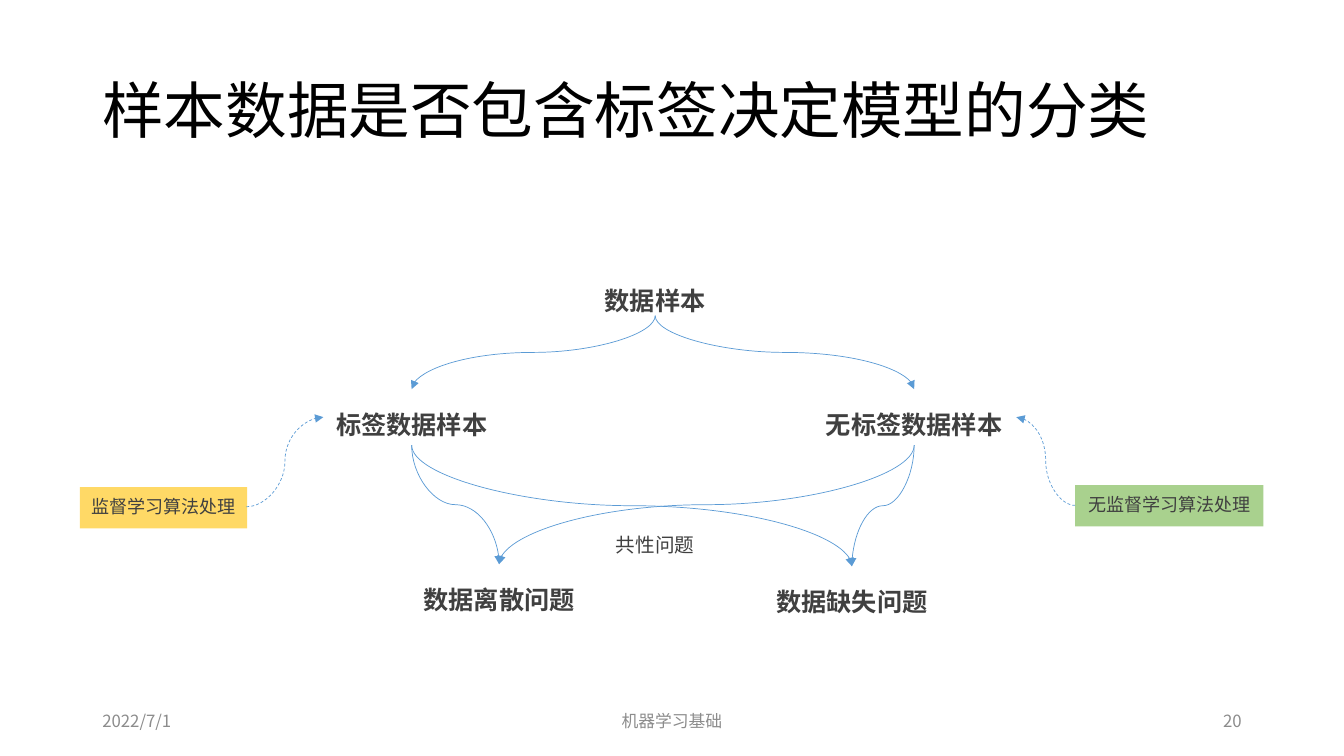
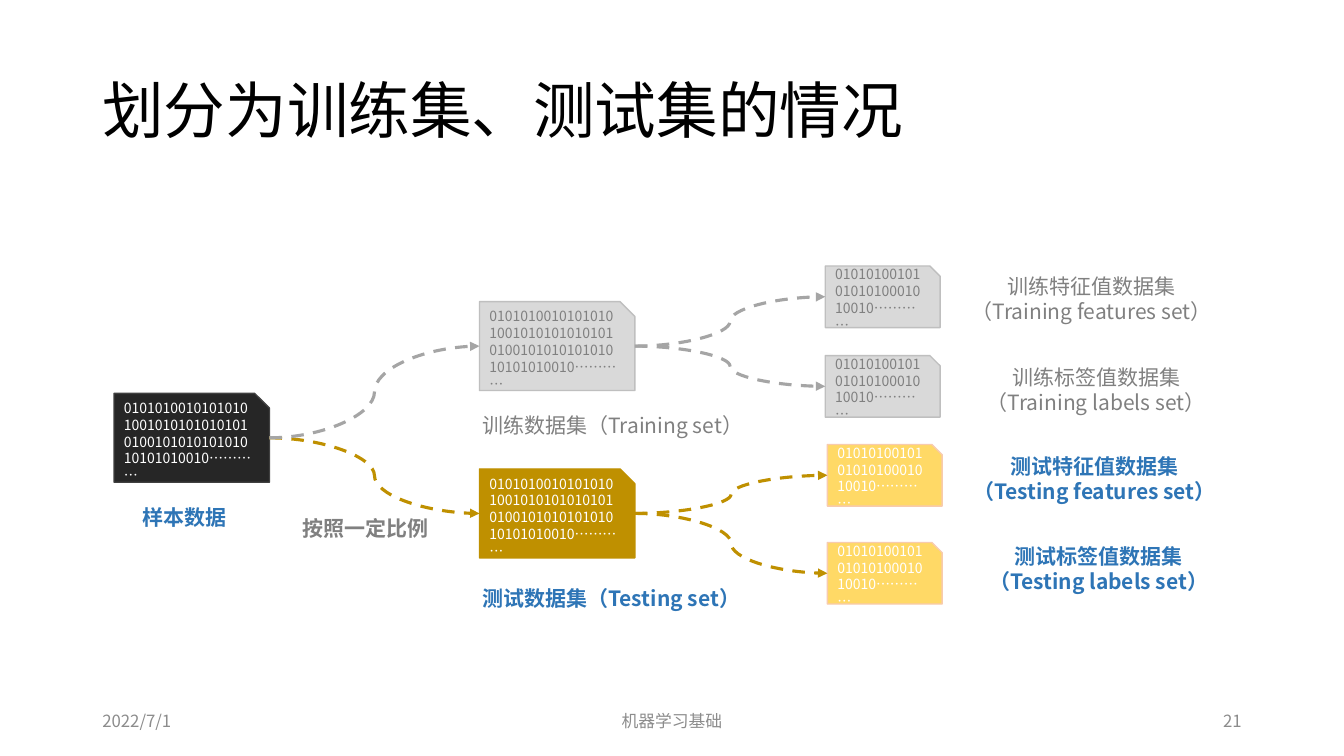
from lxml.etree import SubElement
from pptx import Presentation
from pptx.dml.color import RGBColor
from pptx.enum.dml import MSO_LINE
from pptx.enum.shapes import MSO_CONNECTOR, MSO_SHAPE
from pptx.enum.text import MSO_ANCHOR as ANCHOR, PP_ALIGN as ALIGN
from pptx.oxml.ns import qn
from pptx.util import Pt

FONT = "Noto Sans CJK SC"
COLORS = {
    "title": "000000", "footer": "8C8C8C", "text": "404040", "arrow": "5B9BD5",
    "yellow": "FFD966", "green": "A9D18E", "blue": "2E75B6", "grey": "808080",
    "white": "FFFFFF", "black": "262626", "light": "D9D9D9", "silver": "BFBFBF",
    "gold": "BF9000", "peach": "F8CBAD", "grey_arrow": "A5A5A5",
}
LONG_BITS = "01010100101010101001010101010101010010101010101010101010010…………"
SHORT_BITS = "010101001010101010001010010…………"


def rgb(name):
    return RGBColor.from_string(COLORS[name])


def write(shape, text, size, color, bold=False, align=ALIGN.LEFT,
          anchor=ANCHOR.TOP, spacing=1.0):
    """Fill a shape with text, one paragraph per line."""
    frame = shape.text_frame
    frame.word_wrap = True
    frame.vertical_anchor = anchor
    frame.text = text
    for paragraph in frame.paragraphs:
        paragraph.alignment = align
        paragraph.line_spacing = spacing
        font = paragraph.font
        font.size, font.bold, font.name = Pt(size), bold, FONT
        font.color.rgb = rgb(color)
        SubElement(font._element, qn("a:ea"), typeface=FONT)


def add_label(slide, box, text, size, color, **style):
    write(slide.shapes.add_textbox(*map(Pt, box)), text, size, color, **style)


def add_box(slide, kind, box, fill, outline=None):
    shape = slide.shapes.add_shape(kind, *map(Pt, box))
    shape.shadow.inherit = False
    shape.fill.solid()
    shape.fill.fore_color.rgb = rgb(fill)
    if outline:
        shape.line.color.rgb = rgb(outline)
        shape.line.width = Pt(1)
    else:
        shape.line.fill.background()
    return shape


def add_curve(slide, start, end, color, width, dashed=False, vertical=False):
    """Draw an S-shaped arrow that leaves sideways, or downwards if vertical."""
    (x1, y1), (x2, y2) = start, end
    if vertical:
        # A downward curve is a sideways one turned about its centre
        mid_x, mid_y = (x1 + x2) / 2, (y1 + y2) / 2
        half_w, half_h = (y2 - y1) / 2, abs(x2 - x1) / 2
        corners = (mid_x - half_w, mid_y - half_h, mid_x + half_w, mid_y + half_h)
    else:
        corners = (x1, y1, x2, y2)
    curve = slide.shapes.add_connector(MSO_CONNECTOR.CURVE, *map(Pt, corners))
    properties = curve._element.spPr
    if vertical:
        xfrm = properties.find(qn("a:xfrm"))
        xfrm.set("rot", str((270 if x2 > x1 else 90) * 60000))
        if x2 > x1:
            xfrm.set("flipH", "1")
    curve.line.color.rgb = rgb(color)
    curve.line.width = Pt(width)
    if dashed:
        curve.line.dash_style = MSO_LINE.DASH
    SubElement(properties.find(qn("a:ln")), qn("a:tailEnd"), type="triangle")
    SubElement(properties, qn("a:effectLst"))


def new_slide(prs, title, number):
    """Add a slide with the shared title and footer."""
    slide = prs.slides.add_slide(prs.slide_layouts[6])
    add_label(slide, (66, 29, 828, 104.4), title, 44, "title",
              anchor=ANCHOR.MIDDLE, spacing=0.9)
    for left, width, text, align in (
        (66, 216, "2022/7/1", ALIGN.LEFT),
        (318, 324, "机器学习基础", ALIGN.CENTER),
        (678, 216, str(number), ALIGN.RIGHT),
    ):
        add_label(slide, (left, 500.5, width, 28.75), text, 12, "footer",
                  align=align, anchor=ANCHOR.MIDDLE)
    return slide


def build_label_slide(prs):
    slide = new_slide(prs, "样本数据是否包含标签决定模型的分类", 20)

    # Tree nodes: centre, top, width, height
    nodes = {
        "数据样本": (468, 189.5, 233, 36),
        "标签数据样本": (294, 278, 126, 40),
        "无标签数据样本": (653, 278, 146, 40),
        "数据离散问题": (356.5, 403, 138, 36),
        "数据缺失问题": (608.5, 404.5, 138, 36),
    }
    for text, (centre, top, width, height) in nodes.items():
        add_label(slide, (centre - width / 2, top, width, height), text, 18,
                  "text", bold=True, align=ALIGN.CENTER, spacing=1.5)
    add_label(slide, (428.5, 375, 79, 29.5), "共性问题", 14, "text",
              align=ALIGN.CENTER, anchor=ANCHOR.MIDDLE, spacing=0.9)

    # Branches from parent to child
    branches = {
        "数据样本": ("标签数据样本", "无标签数据样本"),
        "标签数据样本": ("数据离散问题", "数据缺失问题"),
        "无标签数据样本": ("数据离散问题", "数据缺失问题"),
    }
    for parent, children in branches.items():
        centre, top, _, height = nodes[parent]
        for child in children:
            add_curve(slide, (centre, top + height), nodes[child][:2],
                      "arrow", 0.5, vertical=True)

    # Learning methods and their pointers
    for box, fill, text, start, end in (
        ((57, 348, 119.5, 29.5), "yellow", "监督学习算法处理", (176, 362), (231, 298)),
        ((768, 346.5, 134.5, 29.5), "green", "无监督学习算法处理", (768, 361), (726, 298)),
    ):
        method = add_box(slide, MSO_SHAPE.RECTANGLE, box, fill)
        write(method, text, 12.9, "text", align=ALIGN.CENTER,
              anchor=ANCHOR.MIDDLE, spacing=0.9)
        add_curve(slide, start, end, "arrow", 0.5, dashed=True)


def build_split_slide(prs):
    slide = new_slide(prs, "划分为训练集、测试集的情况", 21)
    big, small = (111, 63.5), (82, 44)

    # Data cards: position, size, bits, fill, outline, text colour
    cards = {
        "sample": ((81.5, 281), big, LONG_BITS, "black", "text", "white"),
        "train": ((342.5, 215.5), big, LONG_BITS, "light", "silver", "grey"),
        "test": ((342.5, 335), big, LONG_BITS, "gold", "gold", "white"),
        "train_features": ((589.5, 190), small, SHORT_BITS, "light", "silver", "grey"),
        "train_labels": ((589.5, 254), small, SHORT_BITS, "light", "silver", "grey"),
        "test_features": ((591, 317.5), small, SHORT_BITS, "yellow", "peach", "white"),
        "test_labels": ((591, 387.5), small, SHORT_BITS, "yellow", "peach", "white"),
    }
    for position, size, bits, fill, outline, color in cards.values():
        card = add_box(slide, MSO_SHAPE.SNIP_1_RECTANGLE, position + size, fill, outline)
        write(card, bits, 10, color, anchor=ANCHOR.MIDDLE)

    # Captions
    for box, text, color, bold in (
        ((94.5, 356.5, 75, 25), "样本数据", "blue", True),
        ((209, 365, 105, 25), "按照一定比例", "grey", True),
        ((337.5, 291.5, 210, 25), "训练数据集（Training set）", "grey", False),
        ((337.5, 414.5, 203, 25), "测试数据集（Testing set）", "blue", True),
    ):
        add_label(slide, box, text, 15, color, bold=bold)
    for box, text, color, bold in (
        ((684, 192, 191.5, 44), "训练特征值数据集\n（Training features set）", "grey", False),
        ((695.5, 256.5, 175, 44), "训练标签值数据集\n（Training labels set）", "grey", False),
        ((684.5, 320.5, 194.5, 44), "测试特征值数据集\n（Testing features set）", "blue", True),
        ((697, 384.5, 175.5, 44), "测试标签值数据集\n（Testing labels set）", "blue", True),
    ):
        add_label(slide, box, text, 15, color, bold=bold, align=ALIGN.CENTER)

    # Splits from card to card
    for source, target, color in (
        ("sample", "test", "gold"),
        ("sample", "train", "grey_arrow"),
        ("train", "train_features", "grey_arrow"),
        ("train", "train_labels", "grey_arrow"),
        ("test", "test_features", "gold"),
        ("test", "test_labels", "gold"),
    ):
        (left, top), (width, height) = cards[source][:2]
        (end_left, end_top), (_, end_height) = cards[target][:2]
        add_curve(slide, (left + width, top + height / 2),
                  (end_left, end_top + end_height / 2), color, 2.25, dashed=True)


def main():
    prs = Presentation()
    prs.slide_width, prs.slide_height = Pt(960), Pt(540)
    build_label_slide(prs)
    build_split_slide(prs)
    prs.save("out.pptx")


if __name__ == "__main__":
    main()
